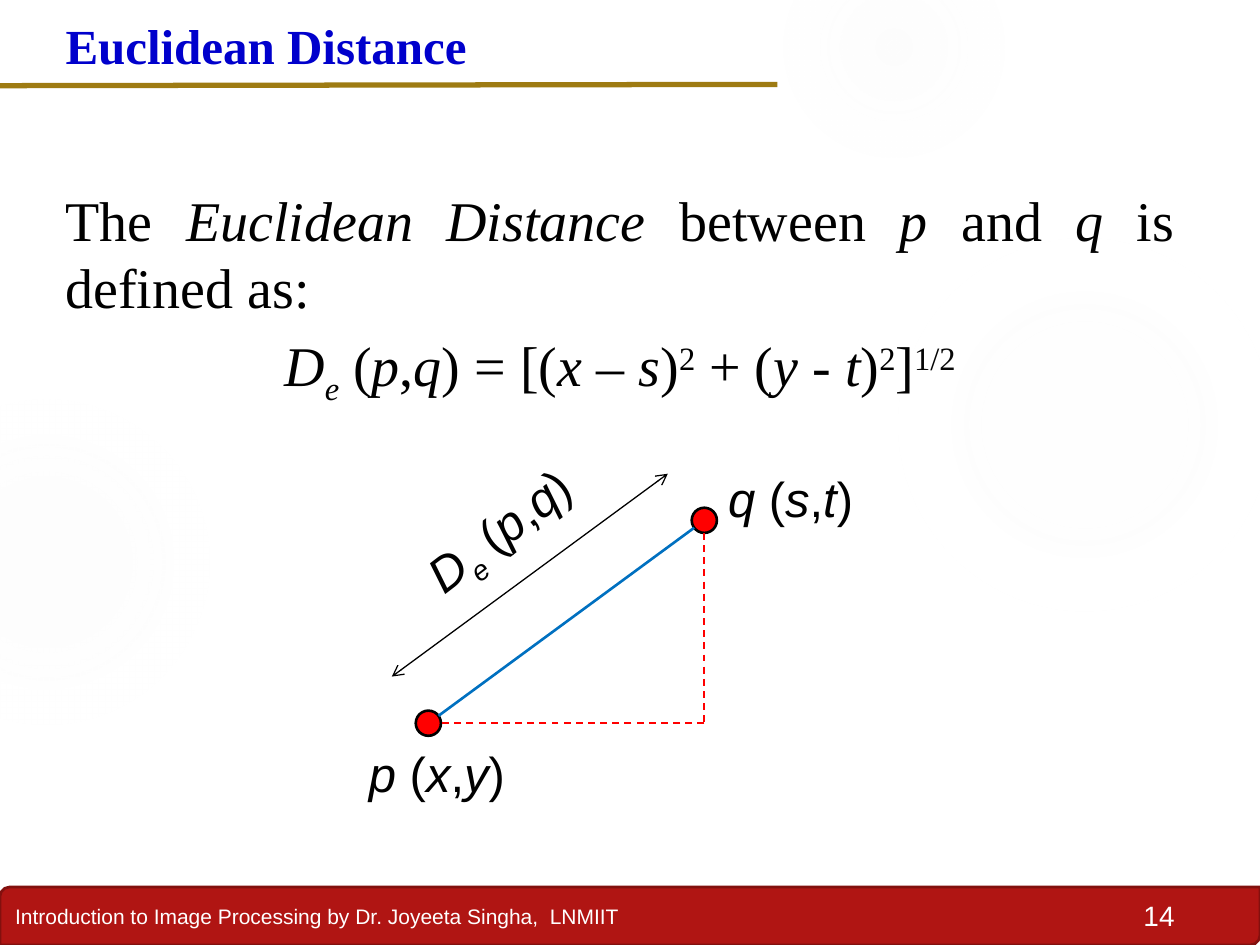
from collections import namedtuple
from math import hypot

from lxml import etree
from pptx import Presentation
from pptx.dml.color import RGBColor
from pptx.enum.dml import MSO_LINE
from pptx.enum.shapes import MSO_CONNECTOR, MSO_SHAPE
from pptx.enum.text import MSO_ANCHOR, MSO_AUTO_SIZE, PP_ALIGN
from pptx.oxml.ns import qn
from pptx.util import Inches, Pt

LEFT, CENTER, RIGHT, JUSTIFY = PP_ALIGN.LEFT, PP_ALIGN.CENTER, PP_ALIGN.RIGHT, PP_ALIGN.JUSTIFY
TOP, MIDDLE = MSO_ANCHOR.TOP, MSO_ANCHOR.MIDDLE
ELLIPSE, FOOTER_SHAPE = MSO_SHAPE.OVAL, MSO_SHAPE.ROUND_2_DIAG_RECTANGLE
STRAIGHT, DASH = MSO_CONNECTOR.STRAIGHT, MSO_LINE.DASH
SANS, SERIF = "Arial", "Times New Roman"
BLACK, WHITE, RED, HALO = "000000", "FFFFFF", "FF0000", "F3F3F3"
BASELINES = {"_": "-25000", "^": "30000"}
WIDTH, HEIGHT = 10, 7.5

Box = namedtuple("Box", "left top width height")

# Runs are (text, style): i is italic, _ is subscript, ^ is superscript
DISTANCE = [("D", "i"), ("e", "i_"), (" (", ""), ("p", "i"), (",", ""), ("q", "i")]
DEFINITION = [("The ", ""), ("Euclidean Distance", "i"), (" between ", ""), ("p", "i"),
              (" and ", ""), ("q", "i"), (" is defined as:", "")]
FORMULA = DISTANCE + [(") = [(", ""), ("x", "i"), (" – ", ""), ("s", "i"), (")", ""),
                      ("2", "^"), (" + (", ""), ("y", "i"), (" - ", ""), ("t", "i"),
                      (")", ""), ("2", "^"), ("]", ""), ("1/2", "^")]


def color(value):
    return RGBColor.from_string(value)


def place(shape, box):
    shape.left, shape.top, shape.width, shape.height = map(Inches, box)


def write(shape, paragraphs, size, font=SANS, fill=BLACK, bold=False, aligns=(LEFT,),
          anchor=TOP, wrap=True, before=0):
    frame = shape.text_frame
    frame.auto_size = MSO_AUTO_SIZE.NONE
    frame.word_wrap = wrap
    frame.vertical_anchor = anchor
    for index, (runs, align) in enumerate(zip(paragraphs, aligns)):
        paragraph = frame.add_paragraph() if index else frame.paragraphs[0]
        paragraph.alignment = align
        paragraph.space_before = Pt(before if index else 0)
        for text, style in runs:
            run = paragraph.add_run()
            run.text = text
            run.font.name, run.font.size = font, Pt(size)
            run.font.bold, run.font.italic = bold, "i" in style
            run.font.color.rgb = color(fill)
            for mark in BASELINES.keys() & set(style):
                run.font._element.set("baseline", BASELINES[mark])


def add_label(slide, box, runs, size=28, rotation=0, **style):
    shape = slide.shapes.add_textbox(*map(Inches, box))
    shape.rotation = rotation
    write(shape, [runs], size, **style)


def add_shape(slide, kind, box, fill=None, line=None):
    shape = slide.shapes.add_shape(kind, *map(Inches, box))
    shape.shadow.inherit = False
    if fill:
        shape.fill.solid()
        shape.fill.fore_color.rgb = color(fill)
    if line:
        shape.line.color.rgb = color(line)
        shape.line.width = Pt(1.5)
    else:
        shape.line.fill.background()
    return shape


def add_line(slide, start, end, stroke, width, dash=None, arrows=False):
    line = slide.shapes.add_connector(STRAIGHT, *map(Inches, start + end))
    line.line.color.rgb = color(stroke)
    line.line.width = Pt(width)
    if dash:
        line.line.dash_style = dash
    if arrows:
        for tag in ("a:headEnd", "a:tailEnd"):
            etree.SubElement(line.line._get_or_add_ln(), qn(tag), type="arrow")
    etree.SubElement(line._element.spPr, qn("a:effectLst"))


def add_halo(slide, box, stops):
    """Faint circle that fades out from its centre."""
    shape = add_shape(slide, ELLIPSE, box, HALO)
    properties = shape._element.spPr
    solid = properties.find(qn("a:solidFill"))
    gradient = etree.Element(qn("a:gradFill"))
    stop_list = etree.SubElement(gradient, qn("a:gsLst"))
    for position, alpha in stops:
        stop = etree.SubElement(stop_list, qn("a:gs"), pos=str(position * 1000))
        tint = etree.SubElement(stop, qn("a:srgbClr"), val=HALO)
        etree.SubElement(tint, qn("a:alpha"), val=str(alpha * 1000))
    focus = etree.SubElement(gradient, qn("a:path"), path="circle")
    etree.SubElement(focus, qn("a:fillToRect"), l="50000", t="50000", r="50000", b="50000")
    properties.replace(solid, gradient)


def add_backdrop(slide):
    add_halo(slide, Box(7.07, 1.83, 3.08, 3.08), [(0, 7), (36, 6), (69, 0)])
    add_halo(slide, Box(6.22, -0.5, 1.75, 1.75), [(0, 14), (36, 7), (73, 0)])
    add_halo(slide, Box(-0.92, 3.17, 2.58, 2.58), [(0, 8), (36, 8), (72, 0)])


def add_footer(slide, box):
    bar = add_shape(slide, FOOTER_SHAPE, box, "B01513", "82100E")
    credit = "Introduction to Image Processing by Dr. Joyeeta Singha,  LNMIIT"
    write(bar, [[(credit, "")]], 12, fill=WHITE, anchor=MIDDLE)
    number_box = Box(box.left + box.width - 1.33, box.top + 0.04, 0.75, 0.37)
    add_label(slide, number_box, [("14", "")], 16, fill=WHITE, aligns=(RIGHT,))


def add_title(slide, box):
    title = slide.shapes.title
    place(title, box)
    write(title, [[("Euclidean Distance", "")]], 28, font=SERIF, fill="0000CC",
          bold=True, wrap=False)
    rule_top = box.top + box.height + 0.03
    add_line(slide, (-0.02, rule_top + 0.01), (6.17, rule_top), "9E7B12", 3)


def add_definition(slide, box):
    body = slide.placeholders[1]
    place(body, box)
    write(body, [DEFINITION, FORMULA], 32, font=SERIF, aligns=(JUSTIFY, CENTER), before=6.4)
    for paragraph in body.text_frame.paragraphs:
        properties = paragraph._p.get_or_add_pPr()
        properties.set("marL", "0")
        properties.set("indent", "0")
        etree.SubElement(properties, qn("a:buNone"))


def add_diagram(slide, box):
    """Points p and q, the distance between them and its two components."""
    radius = 0.1
    p_x, p_y = box.left + 0.57, box.top + 2.07
    q_x, q_y = box.left + 2.76, box.top + 0.46
    length = hypot(q_x - p_x, q_y - p_y)
    step_x, step_y = radius * (q_x - p_x) / length, radius * (q_y - p_y) / length

    # Points
    for x, y in ((p_x, p_y), (q_x, q_y)):
        point_box = Box(x - radius, y - radius, 2 * radius, 2 * radius)
        add_shape(slide, ELLIPSE, point_box, RED, BLACK)

    # Distance and its dimension arrow
    add_line(slide, (p_x + step_x, p_y + step_y), (q_x - step_x, q_y - step_y), "0070C0", 1.5)
    add_line(slide, (p_x - 0.29, p_y - 0.37), (q_x - 0.29, q_y - 0.37), BLACK, 0.75, arrows=True)

    # Components
    corner = (q_x, p_y)
    add_line(slide, (q_x, q_y + radius), corner, RED, 1, DASH)
    add_line(slide, corner, (p_x + radius, p_y), RED, 1, DASH)

    # Labels
    for name, first, second, x, y, width in (("q", "s", "t", 2.85, 0, 1.9),
                                             ("p", "x", "y", 0, 2.18, 1.8)):
        runs = [(name, "i"), (" (", ""), (first, "i"), (",", ""), (second, "i"), (")", "")]
        add_label(slide, Box(box.left + x, box.top + y, width, 0.65), runs)
    add_label(slide, Box(box.left + 0.34, box.top + 0.08, 2.04, 0.65),
              DISTANCE + [(")", "")], rotation=322.6)


def main():
    presentation = Presentation()
    presentation.slide_width, presentation.slide_height = Inches(WIDTH), Inches(HEIGHT)
    slide = presentation.slides.add_slide(presentation.slide_layouts[1])
    add_backdrop(slide)
    add_footer(slide, Box(0, HEIGHT - 0.46, WIDTH, 0.46))
    add_title(slide, Box(0.42, 0.07, 3.52, 0.57))
    add_definition(slide, Box(0.42, 1.42, 9, 1.83))
    add_diagram(slide, Box(2.83, 3.67, 4.75, 2.83))
    presentation.save("out.pptx")


if __name__ == "__main__":
    main()
